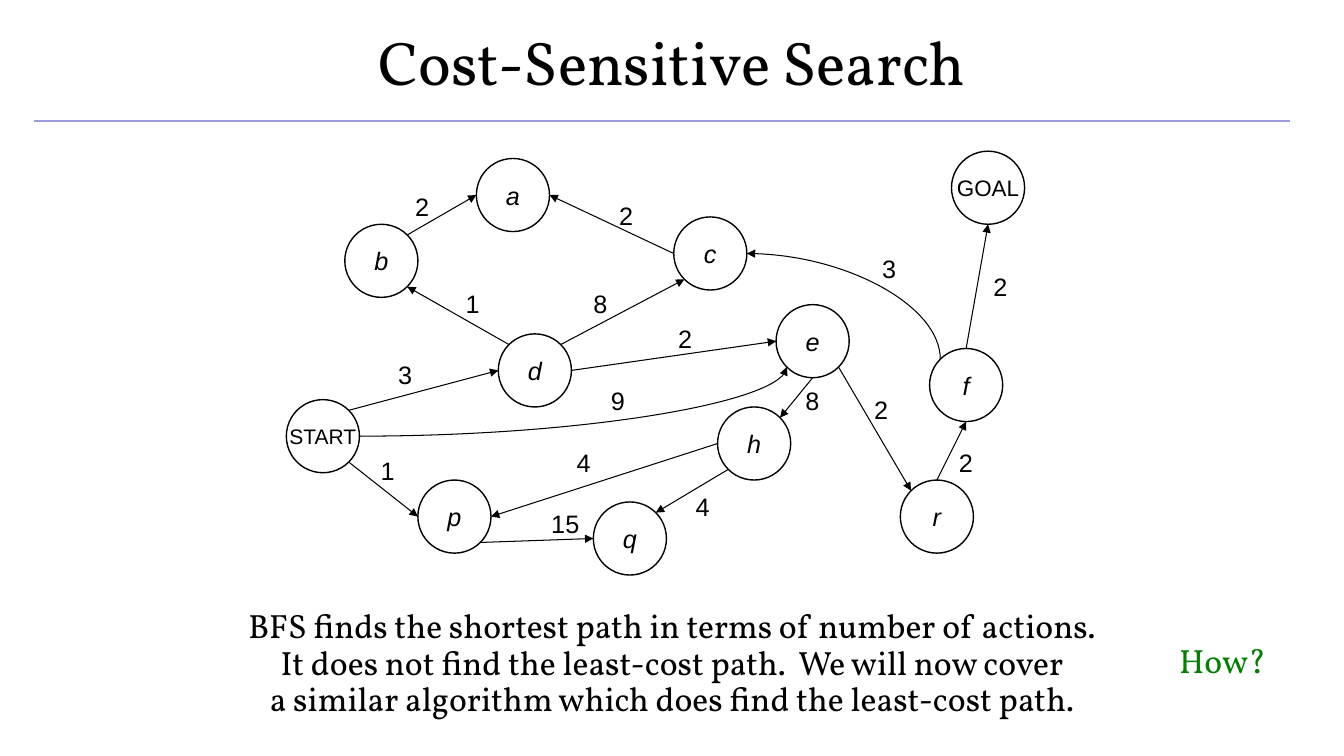
from lxml.etree import SubElement
from pptx import Presentation
from pptx.dml.color import RGBColor
from pptx.enum.shapes import MSO_CONNECTOR, MSO_SHAPE
from pptx.enum.text import MSO_ANCHOR, MSO_AUTO_SIZE, PP_ALIGN
from pptx.oxml.ns import qn
from pptx.util import Inches, Pt

BLACK = RGBColor(0x00, 0x00, 0x00)
GREEN = RGBColor(0x00, 0x80, 0x00)
LAVENDER = RGBColor(0x9C, 0x9C, 0xDF)

NODES = {
    "START": (0, 34), "GOAL": (91, 0), "d": (29, 25), "b": (8, 10),
    "p": (18, 45), "q": (42, 48), "c": (53, 9), "e": (67, 21),
    "h": (59, 35), "a": (26, 1), "f": (88, 27), "r": (84, 45),
}
NODE_SIZES = {"START": 15, "GOAL": 16}

SITES = {
    "top": (5, 0), "bottom": (5, 10), "left": (0, 5), "right": (10, 5),
    "top left": (1.46, 1.46), "top right": (8.54, 1.46),
    "bottom left": (1.46, 8.54), "bottom right": (8.54, 8.54),
}

EDGES = [
    ("START", "bottom right", "p", "left", "1", 13.9, 43.7),
    ("p", "bottom right", "q", "left", "15", 38.4, 51),
    ("h", "bottom left", "q", "top right", "4", 57, 48.6),
    ("h", "left", "p", "right", "4", 40.7, 42.6),
    ("e", "bottom", "h", "top right", "8", 72, 34.1),
    ("e", "bottom right", "r", "top left", "2", 81.4, 35.3),
    ("r", "top", "f", "bottom", "2", 93, 42.6),
    ("f", "top", "GOAL", "bottom", "2", 97.7, 18.5),
    ("START", "top right", "d", "left", "3", 16.3, 30.5),
    ("d", "top left", "b", "bottom right", "1", 25.5, 20.8),
    ("b", "top right", "a", "left", "2", 18.6, 7.6),
    ("c", "left", "a", "right", "2", 46.5, 8.8),
    ("d", "top right", "c", "bottom left", "8", 43, 20.8),
    ("d", "right", "e", "left", "2", 54.6, 25.7),
]
CURVES = [
    ("c", "right", "f", "top left", "3", 82.5, 16, "headEnd"),
    ("START", "right", "e", "bottom left", "9", 45.4, 34.1, "tailEnd"),
]

BODY = [
    "BFS finds the shortest path in terms of number of actions.",
    "It does not find the least-cost path.  We will now cover",
    "a similar algorithm which does find the least-cost path.",
]


class GraphSlide:
    heading_font = "Vollkorn"
    graph_font = "Arial"
    unit = Inches(0.0725)
    left, top = Inches(2.84), Inches(1.5)

    def __init__(self, prs):
        self.width, self.height = prs.slide_width, prs.slide_height
        self.s = prs.slides.add_slide(prs.slide_layouts[1])

    def share(self, x, y):
        return round(self.width * x), round(self.height * y)

    def grid(self, col, row):
        return round(self.left + col * self.unit), round(self.top + row * self.unit)

    def site(self, node, side):
        (col, row), (dx, dy) = NODES[node], SITES[side]
        return self.grid(col + dx, row + dy)

    def style(self, p, size, font, color=BLACK, align=PP_ALIGN.CENTER, italic=False):
        p.alignment = align
        for r in p.runs:
            r.font.size, r.font.name = Pt(size), font
            r.font.italic = italic
            r.font.color.rgb = color

    def place(self, sp, x, y, w, h):
        sp.left, sp.top = self.share(x, y)
        sp.width, sp.height = self.share(w, h)

    def title(self, text, *area):
        sp = self.s.shapes.title
        self.place(sp, *area)
        tf = sp.text_frame
        tf.text = text
        tf.auto_size = MSO_AUTO_SIZE.NONE
        tf.vertical_anchor = MSO_ANCHOR.MIDDLE
        self.style(tf.paragraphs[0], 44, self.heading_font)

    def body(self, lines, *area):
        sp = self.s.placeholders[1]
        self.place(sp, *area)
        tf = sp.text_frame
        tf.text = "\n".join(lines)
        tf.auto_size = MSO_AUTO_SIZE.NONE
        for p in tf.paragraphs:
            pPr = p._p.get_or_add_pPr()
            pPr.set("marL", "0")
            pPr.set("indent", "0")
            SubElement(pPr, qn("a:buNone"))
            p.line_spacing = 0.9
            p.space_before = Pt(0)
            self.style(p, 24, self.heading_font)

    def note(self, text, *area):
        sp = self.s.shapes.add_textbox(0, 0, 0, 0)
        self.place(sp, *area)
        tf = sp.text_frame
        tf.word_wrap = True
        tf.text = text
        self.style(tf.paragraphs[0], 24, self.heading_font, GREEN, PP_ALIGN.LEFT)

    def node(self, name, col, row):
        size = 10 * self.unit
        sp = self.s.shapes.add_shape(MSO_SHAPE.FLOWCHART_CONNECTOR, *self.grid(col, row), size, size)
        sp.shadow.inherit = False
        sp.fill.background()
        sp.line.color.rgb, sp.line.width = BLACK, Pt(1)
        tf = sp.text_frame
        tf.word_wrap = False
        tf.vertical_anchor = MSO_ANCHOR.MIDDLE
        tf.text = name
        self.style(tf.paragraphs[0], NODE_SIZES.get(name, 18), self.graph_font, italic=len(name) == 1)

    def line(self, start, end, color, width, kind=MSO_CONNECTOR.STRAIGHT):
        c = self.s.shapes.add_connector(kind, *start, *end)
        c.line.color.rgb, c.line.width = color, Pt(width)
        SubElement(c._element.spPr, qn("a:effectLst"))
        return c

    def edge(self, source, out, target, into, cost, col, row, arrow="tailEnd", kind=MSO_CONNECTOR.STRAIGHT):
        c = self.line(self.site(source, out), self.site(target, into), BLACK, 0.75, kind)
        SubElement(c.line._get_or_add_ln(), qn(f"a:{arrow}"), type="triangle")
        if kind == MSO_CONNECTOR.CURVE:
            c._element.spPr.find(qn("a:prstGeom")).set("prst", "curvedConnector2")
        self.cost(cost, col, row)

    def cost(self, text, col, row):
        w, h = Inches(0.17 * (len(text) + 1)), Inches(0.4)
        x, y = self.grid(col, row)
        sp = self.s.shapes.add_textbox(x - w // 2, y - h // 2, w, h)
        tf = sp.text_frame
        tf.word_wrap = True
        tf.text = text
        self.style(tf.paragraphs[0], 18, self.graph_font, align=PP_ALIGN.LEFT)


def main():
    prs = Presentation()
    prs.slide_width, prs.slide_height = Inches(13.33), Inches(7.5)
    g = GraphSlide(prs)
    g.line(g.share(0.025, 0.16), g.share(0.96, 0.16), LAVENDER, 1)
    g.title("Cost-Sensitive Search", 0, 0, 1, 0.16)
    g.body(BODY, 0, 0.8, 1, 0.18)
    for name, cell in NODES.items():
        g.node(name, *cell)
    for edge in EDGES:
        g.edge(*edge)
    for curve in CURVES:
        g.edge(*curve, kind=MSO_CONNECTOR.CURVE)
    g.note("How?", 0.87, 0.84, 0.13, 0.07)
    prs.save("out.pptx")


if __name__ == "__main__":
    main()
